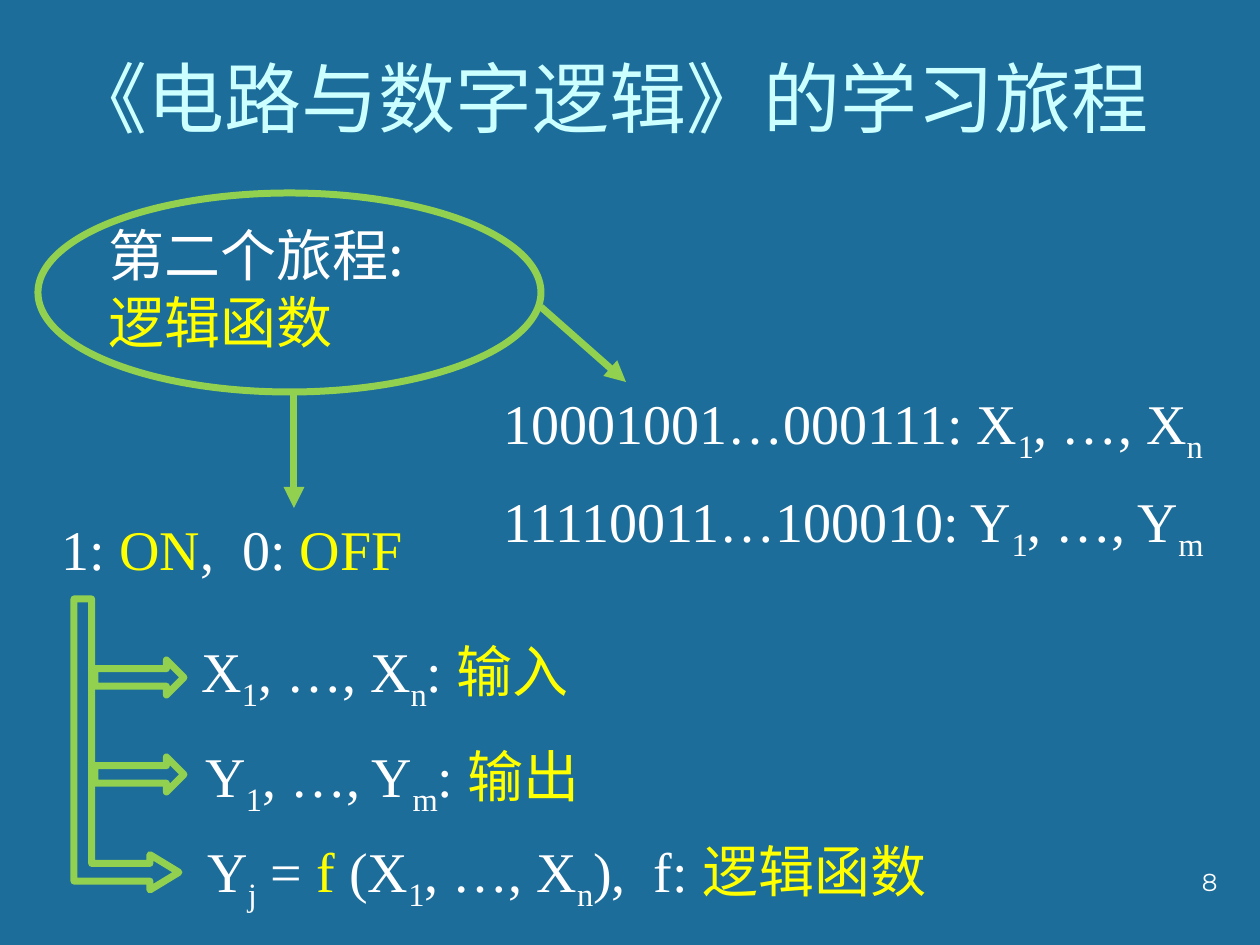
from lxml import etree
from pptx import Presentation
from pptx.dml.color import RGBColor
from pptx.enum.dml import MSO_LINE
from pptx.enum.shapes import MSO_CONNECTOR, MSO_SHAPE
from pptx.enum.text import MSO_ANCHOR, MSO_AUTO_SIZE, PP_ALIGN
from pptx.oxml.ns import qn
from pptx.util import Emu, Pt

STRAIGHT = MSO_CONNECTOR.STRAIGHT
ELLIPSE = MSO_SHAPE.OVAL
RIGHT_ARROW = MSO_SHAPE.RIGHT_ARROW
BENT_ARROW = MSO_SHAPE.BENT_UP_ARROW
SOLID = MSO_LINE.SOLID
LEFT, RIGHT = PP_ALIGN.LEFT, PP_ALIGN.RIGHT
TOP, BOTTOM = MSO_ANCHOR.TOP, MSO_ANCHOR.BOTTOM
GROW, FIXED = MSO_AUTO_SIZE.SHAPE_TO_FIT_TEXT, MSO_AUTO_SIZE.NONE

PX = 914400 / 126
COLORS = {"ground": "1C6D9A", "title": "CCFFFF", "text": "FFFFFF",
          "key": "FFFF00", "line": "92D050"}
SERIF, CJK, SANS = "Times New Roman", "Noto Sans CJK SC", "Montserrat"

# Run styles: font, size, colour, baseline shift
RUNS = {
    "text": (SERIF, 32, "text", 0),
    "sub": (SERIF, 32, "text", -25000),
    "key": (SERIF, 32, "key", 0),
    "cjk": (CJK, 32, "text", 0),
    "cjk key": (CJK, 32, "key", 0),
    "title": (CJK, 44, "title", 0),
    "number": (SANS, 14, "text", 0),
}


def px(*lengths):
    return [Emu(round(length * PX)) for length in lengths]


def rgb(name):
    return RGBColor.from_string(COLORS[name])


def series(letter, last):
    """Runs for a list of variables such as X1, …, Xn."""
    return [(letter, "text"), ("1", "sub"), (f", …, {letter}", "text"), (last, "sub")]


class Deck:
    def __init__(self, width, height):
        self.prs = Presentation()
        self.prs.slide_width, self.prs.slide_height = px(width, height)
        self.slide = self.prs.slides.add_slide(self.prs.slide_layouts[5])
        fill = self.slide.background.fill
        fill.solid()
        fill.fore_color.rgb = rgb("ground")

    def set_text(self, frame, paragraphs, align=LEFT, **layout):
        for name, value in {"word_wrap": True, "vertical_anchor": TOP,
                            "auto_size": GROW, **layout}.items():
            setattr(frame, name, value)
        for index, runs in enumerate(paragraphs):
            paragraph = frame.add_paragraph() if index else frame.paragraphs[0]
            paragraph.alignment = align
            for words, style in runs:
                self.add_run(paragraph, words, style)

    def add_run(self, paragraph, words, style):
        face, size, color, shift = RUNS[style]
        run = paragraph.add_run()
        run.text = words
        for name, value in {"name": face, "size": Pt(size)}.items():
            setattr(run.font, name, value)
        run.font.color.rgb = rgb(color)
        props = run._r.get_or_add_rPr()
        if shift:
            props.set("baseline", str(shift))
        etree.SubElement(props, qn("a:ea")).set("typeface", face)

    def title(self, box, words):
        holder = self.slide.shapes.title
        for name, value in zip(("left", "top", "width", "height"), px(*box)):
            setattr(holder, name, value)
        self.set_text(holder.text_frame, [[(words, "title")]],
                      vertical_anchor=BOTTOM, auto_size=FIXED)

    def text(self, box, *paragraphs, **layout):
        frame = self.slide.shapes.add_textbox(*px(*box)).text_frame
        self.set_text(frame, paragraphs, **layout)

    def stroke(self, line):
        line.dash_style = SOLID
        line.color.rgb = rgb("line")
        line.width = Pt(4)

    def outline(self, kind, box, rotation=0, adjustments=()):
        shape = self.slide.shapes.add_shape(kind, *px(*box))
        shape.shadow.inherit = False
        shape.fill.background()
        shape.rotation = rotation
        for index, value in enumerate(adjustments):
            shape.adjustments[index] = value
        self.stroke(shape.line)

    def arrow(self, *ends):
        connector = self.slide.shapes.add_connector(STRAIGHT, *px(*ends))
        self.stroke(connector.line)
        props = connector._element.spPr
        etree.SubElement(props.find(qn("a:ln")), qn("a:tailEnd")).set("type", "triangle")
        etree.SubElement(props, qn("a:effectLst"))


def main():
    deck = Deck(1260, 945)
    deck.title((58, -50, 1128, 199), "《电路与数字逻辑》的学习旅程")

    # Second journey and its two branches
    deck.text((96, 214, 466, 149), [("第二个旅程:", "cjk")], [("逻辑函数", "cjk key")])
    deck.outline(ELLIPSE, (38, 193, 503, 199))
    deck.arrow(294, 391, 294, 508)
    deck.arrow(541, 307, 626, 382)

    # Switch states
    deck.text((49, 508, 801, 81), [("1: ", "text"), ("ON", "key"),
                                   (",  0: ", "text"), ("OFF", "key")])

    # Bit strings
    inputs, outputs = series("X", "n"), series("Y", "m")
    for top, bits, variables in ((382, "10001001…000111: ", inputs),
                                 (480, "11110011…100010: ", outputs)):
        deck.text((491, top, 808, 81), [(bits, "text"), *variables])

    # Inputs, outputs and the function between them
    for arrow_top, left, top, variables, meaning in (
            (660, 189, 630, inputs, "输入"), (757, 193, 735, outputs, "输出")):
        deck.outline(RIGHT_ARROW, (95, arrow_top, 89, 35))
        deck.text((left, top, 1186, 81),
                  [*variables, (": ", "text"), (meaning, "cjk key")])
    deck.outline(BENT_ARROW, (-19, 692, 291, 105), 90, (0.168, 0.168, 0.277))
    deck.text((195, 830, 1186, 81),
              [("Y", "text"), ("j", "sub"), (" = ", "text"), ("f", "key"), (" (", "text"),
               *inputs, ("),  f: ", "text"), ("逻辑函数", "cjk key")])

    # Page number
    deck.text((968, 861, 262, 63), [("8", "number")], align=RIGHT, auto_size=FIXED)

    deck.prs.save("out.pptx")


if __name__ == "__main__":
    main()
